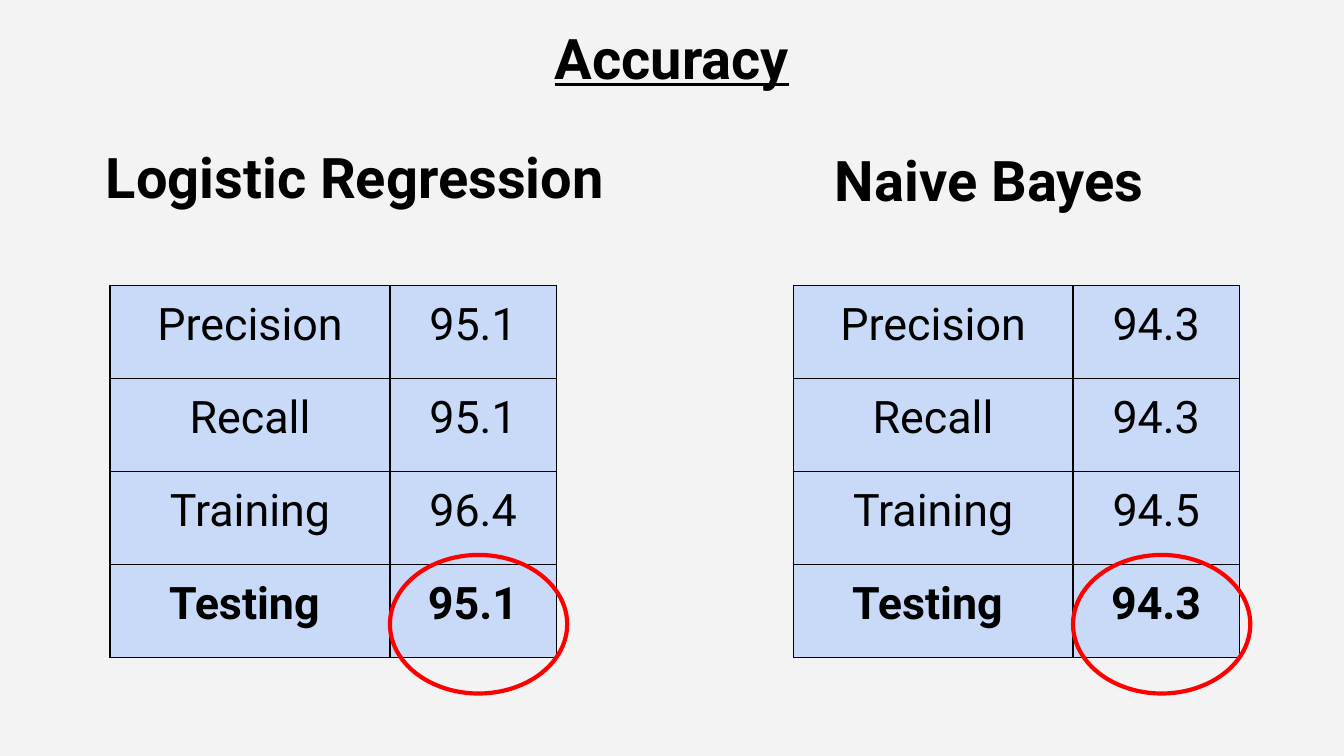
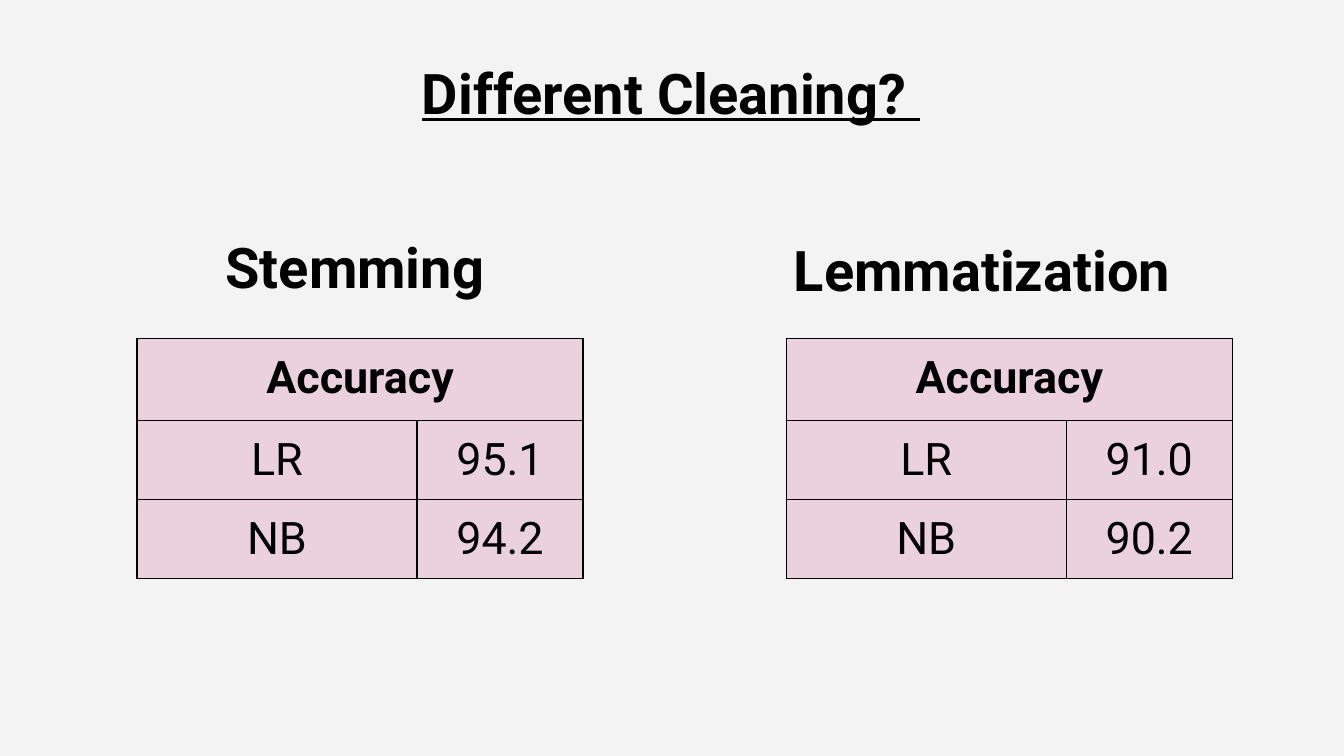
from dataclasses import dataclass

from lxml.etree import SubElement
from pptx import Presentation
from pptx.dml.color import RGBColor
from pptx.enum.shapes import MSO_SHAPE
from pptx.enum.text import MSO_ANCHOR, MSO_AUTO_SIZE, PP_ALIGN
from pptx.oxml.ns import qn
from pptx.util import Cm, Pt


@dataclass(frozen=True)
class Theme:
    font: str = "Roboto"
    background: str = "F3F3F3"
    ink: str = "000000"
    blue: str = "C9DAF8"
    pink: str = "EAD1DC"
    highlight: str = "FF0000"
    heading_size: float = 30
    cell_size: float = 24
    border_width: float = 0.75
    highlight_width: float = 2.25
    inset: float = 0.25
    label_width: float = 5.29
    value_width: float = 3.14


class Deck:
    COMPARISON_LAYOUT = 4
    HEADINGS = (1, 3)
    CONTENTS = (2, 4)

    def __init__(self, theme):
        self.theme = theme
        self.slide = None
        self.presentation = Presentation()
        self.presentation.slide_width = Cm(25.4)
        self.presentation.slide_height = Cm(14.29)
        backdrop = self.presentation.slide_master.background.fill
        backdrop.solid()
        backdrop.fore_color.rgb = RGBColor.from_string(theme.background)

    def add_slide(self):
        layout = self.presentation.slide_layouts[self.COMPARISON_LAYOUT]
        self.slide = self.presentation.slides.add_slide(layout)
        for index in self.CONTENTS:
            content = self.slide.placeholders[index].element
            content.getparent().remove(content)

    def add_text(self, frame, text, size, bold=False, underline=False):
        paragraph = frame.paragraphs[0]
        paragraph.alignment = PP_ALIGN.CENTER
        paragraph.space_before = Pt(0)
        run = paragraph.add_run()
        run.text = text
        run.font.name = self.theme.font
        run.font.size = Pt(size)
        run.font.bold = bold
        run.font.underline = underline
        run.font.color.rgb = RGBColor.from_string(self.theme.ink)

    def fill_placeholder(self, placeholder, text, box, underline=False):
        placeholder.left, placeholder.top, placeholder.width, placeholder.height = map(Cm, box)
        frame = placeholder.text_frame
        frame.word_wrap = True
        frame.auto_size = MSO_AUTO_SIZE.NONE
        frame.vertical_anchor = MSO_ANCHOR.BOTTOM
        inset = Cm(self.theme.inset)
        frame.margin_left = frame.margin_right = inset
        frame.margin_top = frame.margin_bottom = inset
        self.add_text(frame, text, self.theme.heading_size, True, underline)

    def title(self, text, box):
        self.fill_placeholder(self.slide.shapes.title, text, box, underline=True)

    def headings(self, texts, top):
        boxes = ((0.36, top, 12.7, 2.62), (12.32, top + 0.05, 12.75, 2.62))
        for index, text, box in zip(self.HEADINGS, texts, boxes):
            self.fill_placeholder(self.slide.placeholders[index], text, box)

    def border(self, cell):
        properties = cell._tc.get_or_add_tcPr()
        for side in ("a:lnL", "a:lnR", "a:lnT", "a:lnB"):
            line = SubElement(properties, qn(side), w=str(Pt(self.theme.border_width)))
            paint = SubElement(line, qn("a:solidFill"))
            SubElement(paint, qn("a:srgbClr"), val=self.theme.ink)

    def table(self, left, top, rows, heights, color, bold_row):
        widths = (self.theme.label_width, self.theme.value_width)
        table = self.slide.shapes.add_table(
            len(rows), len(widths), Cm(left), Cm(top), Cm(sum(widths)), Cm(sum(heights))
        ).table
        table.first_row = table.horz_banding = False
        for column, width in zip(table.columns, widths):
            column.width = Cm(width)
        inset = Cm(self.theme.inset)
        for number, (texts, height) in enumerate(zip(rows, heights)):
            table.rows[number].height = Cm(height)
            for position in range(len(widths)):
                cell = table.cell(number, position)
                cell.margin_left = cell.margin_right = inset
                cell.margin_top = cell.margin_bottom = inset
                self.border(cell)
                cell.fill.solid()
                cell.fill.fore_color.rgb = RGBColor.from_string(color)
                if position < len(texts):
                    self.add_text(cell.text_frame, texts[position],
                                  self.theme.cell_size, number == bold_row)
            if len(texts) == 1:
                table.cell(number, 0).merge(table.cell(number, len(widths) - 1))

    def ring(self, left, top):
        ring = self.slide.shapes.add_shape(
            MSO_SHAPE.OVAL, Cm(left), Cm(top), Cm(3.35), Cm(2.62))
        ring.shadow.inherit = False
        ring.fill.background()
        ring.line.color.rgb = RGBColor.from_string(self.theme.highlight)
        ring.line.width = Pt(self.theme.highlight_width)


def accuracy(deck):
    deck.add_slide()
    deck.title("Accuracy", (6.35, 0, 12.7, 1.96))
    deck.headings(("Logistic Regression", "Naive Bayes"), 1.6)
    measures = ("Precision", "Recall", "Training", "Testing ")
    scores = {
        2.08: ("95.1", "95.1", "96.4", "95.1"),
        14.99: ("94.3", "94.3", "94.5", "94.3"),
    }
    for left, values in scores.items():
        rows = list(zip(measures, values))
        deck.table(left, 5.39, rows, [1.76] * len(rows), deck.theme.blue, bold_row=3)
    for left in scores:
        deck.ring(left + deck.theme.label_width, 10.49)


def cleaning(deck):
    deck.add_slide()
    deck.title("Different Cleaning? ", (4.34, 0, 16.69, 2.62))
    deck.headings(("Stemming", "Lemmatization "), 3.3)
    scores = {2.59: ("95.1", "94.2"), 14.86: ("91.0", "90.2")}
    for left, values in scores.items():
        rows = [("Accuracy",), *zip(("LR", "NB"), values)]
        deck.table(left, 6.4, rows, (1.55, 1.45, 1.45), deck.theme.pink, bold_row=0)


def main():
    deck = Deck(Theme())
    accuracy(deck)
    cleaning(deck)
    deck.presentation.save("out.pptx")


if __name__ == "__main__":
    main()
